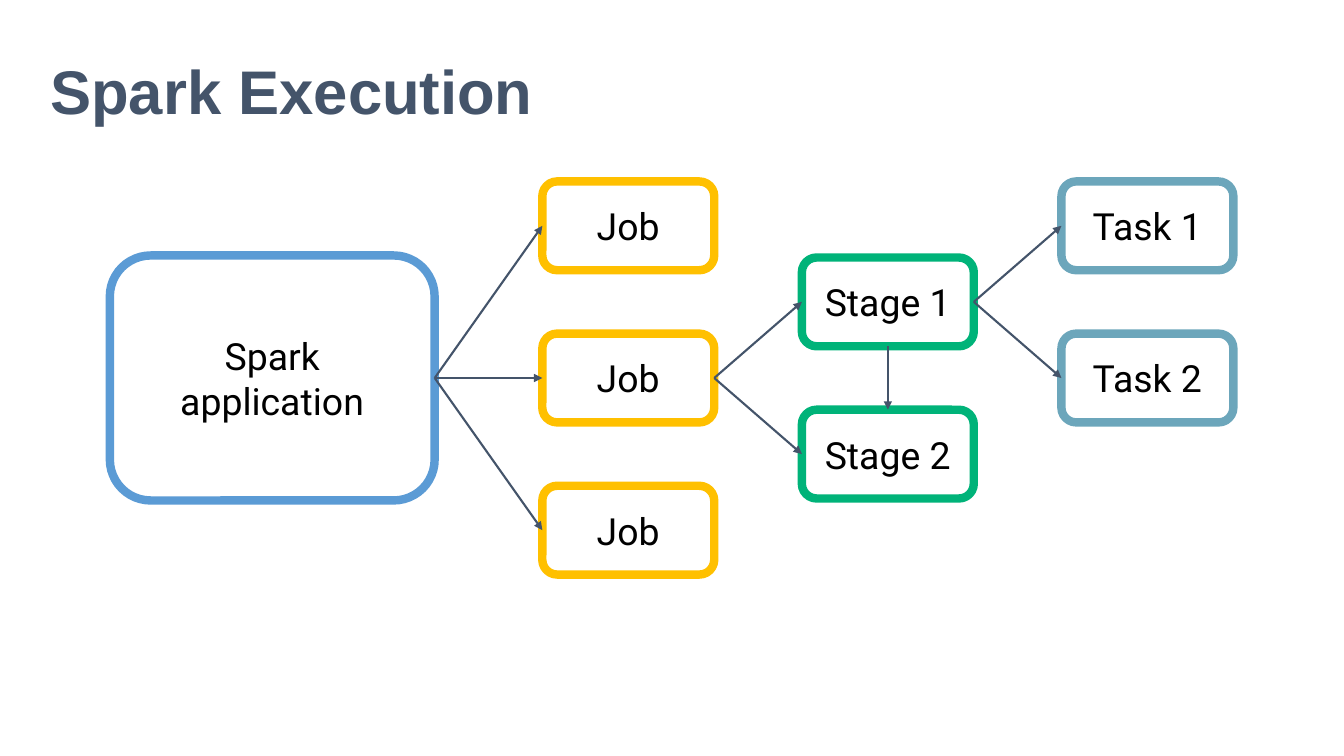
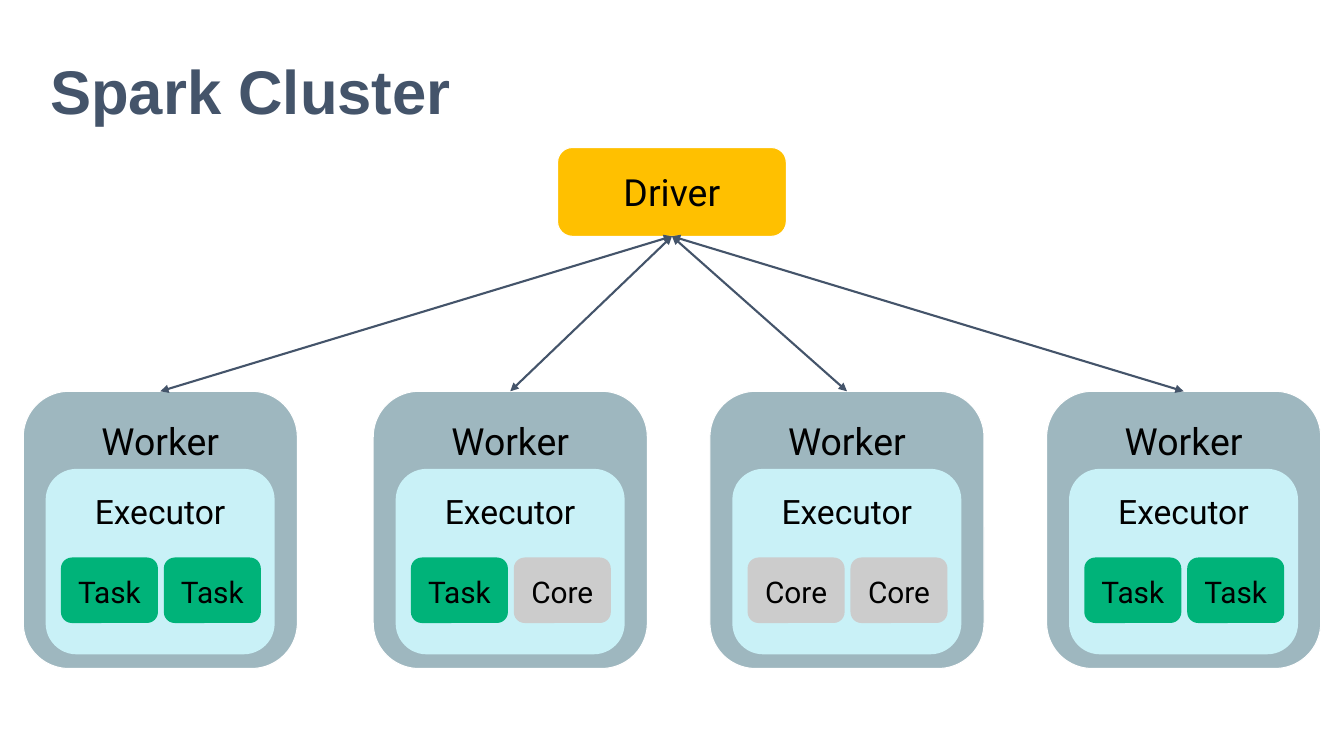
from lxml import etree
from pptx import Presentation
from pptx.dml.color import RGBColor
from pptx.enum import shapes, text
from pptx.oxml import ns
from pptx.util import Pt

COLORS = {
    "title": "44546A", "arrow": "44546A", "ink": "000000", "white": "FFFFFF",
    "blue": "5B9BD5", "yellow": "FFC000", "green": "00B379", "teal": "6CA6BB",
    "worker": "9EB7BF", "executor": "C9F1F7", "Task": "00B379", "Core": "CCCCCC",
}
TITLE_BOX = (36, 28.8, 886.3, 77.8)
TOP, LEFT, BOTTOM, RIGHT = range(4)
NODE_HEIGHT = 63.4
LABEL_SIZE = 26.7


def color(name):
    return RGBColor.from_string(COLORS[name])


def place(shape, box):
    shape.left, shape.top, shape.width, shape.height = (Pt(length) for length in box)


def write(paragraph, words, font_name, size, color_name, bold=False):
    run = paragraph.add_run()
    run.text = words
    run.font.name = font_name
    run.font.size = Pt(size)
    run.font.bold = bold
    run.font.color.rgb = color(color_name)


def set_insets(frame, horizontal, vertical):
    frame.margin_left = frame.margin_right = Pt(horizontal)
    frame.margin_top = frame.margin_bottom = Pt(vertical)


def add_titled_slide(presentation, words):
    slide = presentation.slides.add_slide(presentation.slide_layouts[5])
    title = slide.shapes.title
    place(title, TITLE_BOX)
    frame = title.text_frame
    frame.auto_size = text.MSO_AUTO_SIZE.NONE
    frame.word_wrap = True
    frame.vertical_anchor = text.MSO_ANCHOR.MIDDLE
    set_insets(frame, 0, 3.6)
    paragraph = frame.paragraphs[0]
    paragraph.alignment = text.PP_ALIGN.LEFT
    paragraph.line_spacing = 0.9
    write(paragraph, words, "Arial", 44, "title", bold=True)
    return slide


def add_box(slide, box, words, fill=None, line=None, line_width=0.75,
            size=LABEL_SIZE, anchor=text.MSO_ANCHOR.MIDDLE):
    shape = slide.shapes.add_shape(
        shapes.MSO_SHAPE.ROUNDED_RECTANGLE, *(Pt(length) for length in box))
    shape.shadow.inherit = False
    if fill:
        shape.fill.solid()
        shape.fill.fore_color.rgb = color(fill)
    else:
        shape.fill.background()
    if line:
        shape.line.color.rgb = color(line)
        shape.line.width = Pt(line_width)
    else:
        shape.line.fill.background()
    frame = shape.text_frame
    frame.word_wrap = True
    frame.vertical_anchor = anchor
    set_insets(frame, 9.6, 9.6)
    paragraph = frame.paragraphs[0]
    paragraph.alignment = text.PP_ALIGN.CENTER
    write(paragraph, words, "Roboto", size, "ink")
    return shape


def add_arrow(slide, source, source_side, target, target_side, ends=("tailEnd",)):
    connector = slide.shapes.add_connector(shapes.MSO_CONNECTOR.STRAIGHT, 0, 0, 0, 0)
    connector.begin_connect(source, source_side)
    connector.end_connect(target, target_side)
    connector.line.color.rgb = color("arrow")
    connector.line.width = Pt(1.5)
    properties = connector._element.spPr
    outline = properties.find(ns.qn("a:ln"))
    for end in ends:
        etree.SubElement(outline, ns.qn("a:" + end), type="triangle")
    etree.SubElement(properties, ns.qn("a:effectLst"))


def add_node_column(slide, left, center, labels, first_row, line):
    width, row_pitch = 122.8, 108.7
    return [
        add_box(slide,
                (left, center + (first_row + index) * row_pitch - NODE_HEIGHT / 2,
                 width, NODE_HEIGHT),
                label, line=line, line_width=6)
        for index, label in enumerate(labels)
    ]


def add_execution_flow(slide, left, center):
    app_height, first_column, column_pitch = 175, 308.9, 185.4
    application = add_box(slide, (left, center - app_height / 2, 232, app_height),
                          "Spark application", line="blue", line_width=6)
    columns = [
        (["Job"] * 3, -1, "yellow"),
        (["Stage 1", "Stage 2"], -0.5, "green"),
        (["Task 1", "Task 2"], -1, "teal"),
    ]
    jobs, stages, tasks = [
        add_node_column(slide, left + first_column + index * column_pitch, center, *column)
        for index, column in enumerate(columns)
    ]
    for parent, children in ((application, jobs), (jobs[1], stages), (stages[0], tasks)):
        for child in children:
            add_arrow(slide, parent, RIGHT, child, LEFT)
    add_arrow(slide, stages[0], BOTTOM, stages[1], TOP)


def add_worker(slide, left, top, slots):
    anchor = text.MSO_ANCHOR.TOP
    worker = add_box(slide, (left, top, 195.8, 198), "Worker", fill="worker",
                     line="white", anchor=anchor)
    executor_left, executor_top = left + 16, top + 55.4
    add_box(slide, (executor_left, executor_top, 163.6, 132.5), "Executor",
            fill="executor", size=24, anchor=anchor)
    for index, slot in enumerate(slots):
        add_box(slide,
                (executor_left + 10.9 + index * 73.5, executor_top + 63.3, 69.3, 46.8),
                slot, fill=slot, size=21.3, anchor=anchor)
    return worker


def add_cluster(slide, driver_box, workers_top):
    driver = add_box(slide, driver_box, "Driver", fill="yellow", line="white")
    workers = [
        (16.6, ("Task", "Task")),
        (266.6, ("Task", "Core")),
        (507.1, ("Core", "Core")),
        (747.6, ("Task", "Task")),
    ]
    for left, slots in workers:
        worker = add_worker(slide, left, workers_top, slots)
        add_arrow(slide, driver, BOTTOM, worker, TOP, ("headEnd", "tailEnd"))


def main():
    presentation = Presentation()
    presentation.slide_width, presentation.slide_height = Pt(960), Pt(540)
    add_execution_flow(add_titled_slide(presentation, "Spark Execution"), 78.5, 270)
    add_cluster(add_titled_slide(presentation, "Spark Cluster"),
                (398.3, 105.4, 163.4, NODE_HEIGHT), 279.5)
    presentation.save("out.pptx")


if __name__ == "__main__":
    main()
